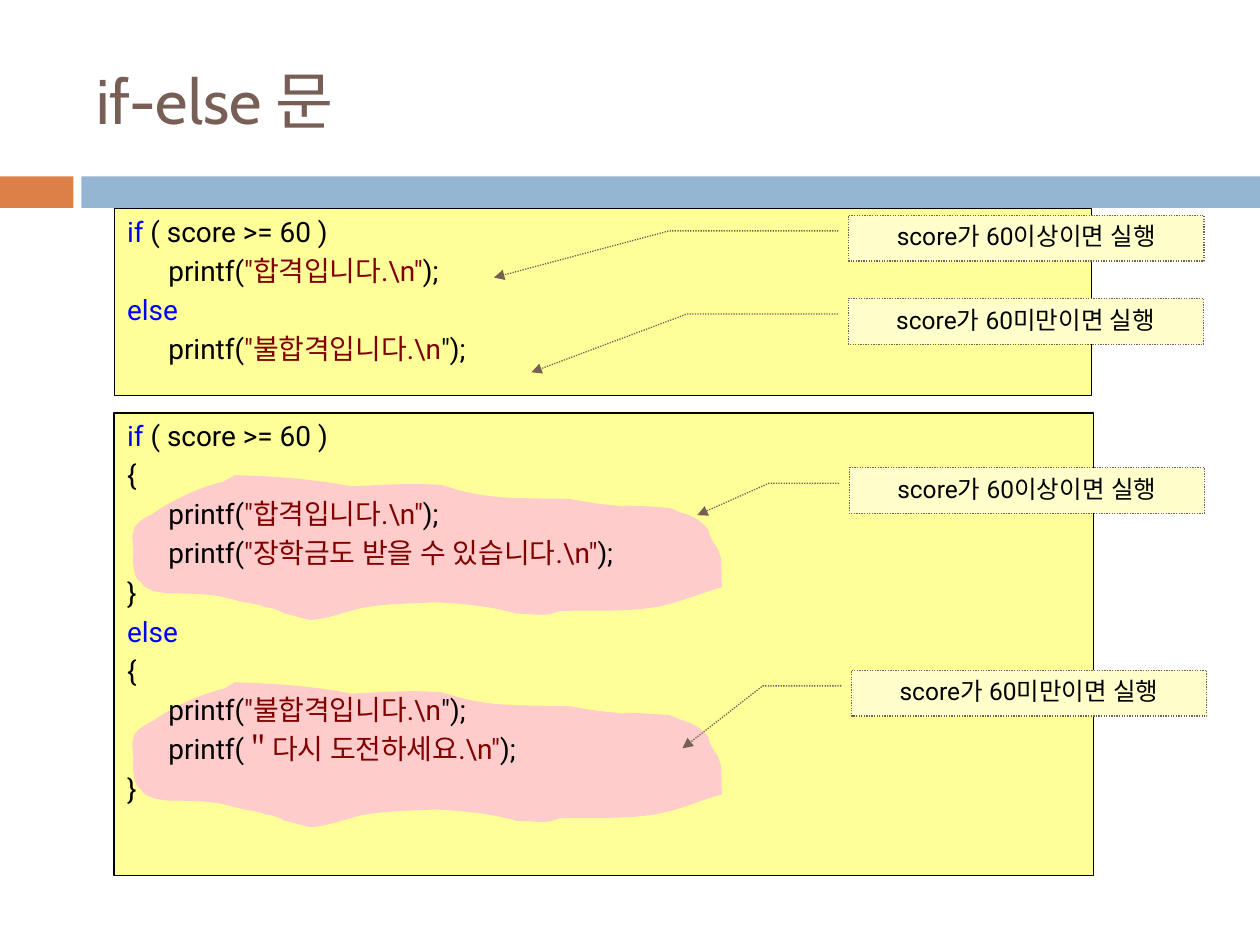
from dataclasses import dataclass

from lxml import etree
from pptx import Presentation
from pptx.dml.color import RGBColor
from pptx.enum.dml import MSO_LINE
from pptx.enum.shapes import MSO_SHAPE
from pptx.enum.text import MSO_ANCHOR, PP_ALIGN
from pptx.oxml.ns import qn
from pptx.util import Pt

ORANGE = RGBColor(0xDD, 0x80, 0x47)
BLUE = RGBColor(0x94, 0xB6, 0xD2)
BROWN = RGBColor(0x77, 0x5F, 0x55)
YELLOW = RGBColor(0xFF, 0xFF, 0x99)
CREAM = RGBColor(0xFF, 0xFF, 0xCC)
PINK = RGBColor(0xFF, 0xCC, 0xCC)
BLACK = RGBColor(0, 0, 0)
KEYWORD = RGBColor(0, 0, 0xFF)
LITERAL = RGBColor(0x80, 0, 0)

CODE_INDENT = 23.6
UNIT = 0.72  # points per blob unit

# Outline of the pink blob: start, then cubic curves (two controls and an end)
BLOB_START = (107, 418)
BLOB_CURVES = [
    (110, 414, 116, 410, 121, 408), (138, 396, 158, 387, 178, 382),
    (181, 380, 184, 379, 186, 377), (217, 378, 248, 380, 279, 386),
    (302, 385, 327, 383, 351, 385), (387, 397, 408, 395, 452, 396),
    (464, 398, 474, 400, 487, 401), (507, 404, 475, 399, 530, 403),
    (533, 403, 538, 406, 541, 407), (549, 409, 556, 413, 562, 420),
    (563, 424, 564, 427, 566, 430), (567, 432, 570, 436, 570, 436),
    (574, 449, 572, 439, 573, 466), (555, 471, 538, 479, 519, 482),
    (495, 486, 466, 484, 444, 485), (432, 490, 427, 487, 410, 487),
    (389, 481, 367, 479, 345, 478), (327, 479, 308, 479, 290, 482),
    (275, 485, 261, 491, 247, 492), (239, 491, 233, 488, 226, 487),
    (223, 485, 215, 482, 211, 482), (204, 479, 197, 479, 190, 477),
    (186, 476, 182, 475, 178, 474), (164, 471, 148, 471, 133, 471),
    (128, 470, 123, 470, 119, 468), (117, 467, 114, 465, 114, 465),
    (113, 464, 113, 463, 112, 462), (111, 461, 110, 461, 110, 461),
    (108, 459, 108, 457, 107, 455), (106, 450, 105, 445, 106, 439),
    (105, 422, 104, 429, 107, 418),
]


@dataclass
class Callout:
    left: float
    top: float
    condition: str
    bend: float
    tip_y: float
    tip_x: float


@dataclass
class CodeLine:
    pieces: list[tuple[str, RGBColor]]
    indent: float = 0


def printf(literal: str, ending: str = ");") -> CodeLine:
    return CodeLine([("printf(", BLACK), (literal, LITERAL), (ending, BLACK)], CODE_INDENT)


IF = CodeLine([("if", KEYWORD), (" ( score >= 60 )", BLACK)])
ELSE = CodeLine([("else", KEYWORD)])
OPEN = CodeLine([("{", BLACK)])
CLOSE = CodeLine([("}", BLACK)])
PASSED = printf(r'"합격입니다.\n"')
FAILED = printf(r'"불합격입니다.\n', '");')

SHORT_CODE = [IF, PASSED, ELSE, FAILED]
BLOCK_CODE = [
    IF, OPEN, PASSED, printf(r'"장학금도 받을 수 있습니다.\n"'), CLOSE,
    ELSE, OPEN, FAILED, printf(r'＂다시 도전하세요.\n"'), CLOSE,
]

UPPER_CALLOUTS = [
    Callout(485, 123, "이상", -0.506, 1.362, -0.999),
    Callout(484.7, 170.5, "미만", -0.454, 1.614, -0.892),
]
LOWER_CALLOUTS = [
    Callout(485.3, 267.2, "이상", -0.226, 1.038, -0.428),
    Callout(486.6, 383, "미만", -0.25, 1.705, -0.476),
]


def add_box(slide, left: float, top: float, width: float, height: float,
            fill: RGBColor, line: RGBColor | None = None, kind=MSO_SHAPE.RECTANGLE):
    box = slide.shapes.add_shape(kind, Pt(left), Pt(top), Pt(width), Pt(height))
    box.shadow.inherit = False
    box.fill.solid()
    box.fill.fore_color.rgb = fill
    if line is None:
        box.line.fill.background()
    else:
        box.line.color.rgb = line
        box.line.width = Pt(0.75)
    return box


def add_run(paragraph, text: str, size: float, color: RGBColor, font: str = "Roboto") -> None:
    run = paragraph.add_run()
    run.text = text
    run.font.size = Pt(size)
    run.font.name = font
    run.font.color.rgb = color
    if font == "Roboto":
        etree.SubElement(run.font._element, qn("a:ea"), typeface=font)


def write_code(frame, lines: list[CodeLine]) -> None:
    frame.word_wrap = True
    frame.vertical_anchor = MSO_ANCHOR.TOP
    for index, line in enumerate(lines):
        paragraph = frame.add_paragraph() if index else frame.paragraphs[0]
        paragraph.alignment = PP_ALIGN.LEFT
        paragraph.space_before = Pt(3.2)
        if line.indent:
            paragraph._p.get_or_add_pPr().set("marL", str(Pt(line.indent)))
        for text, color in line.pieces:
            add_run(paragraph, text, 16, color)


def add_callout(slide, callout: Callout) -> None:
    box = add_box(slide, callout.left, callout.top, 203, 26.2, CREAM, BROWN,
                  MSO_SHAPE.LINE_CALLOUT_2)
    pointer = (0.343, -0.029, 0.343, callout.bend, callout.tip_y, callout.tip_x)
    for index, value in enumerate(pointer):
        box.adjustments[index] = value
    box.line.dash_style = MSO_LINE.ROUND_DOT
    etree.SubElement(box.line._get_or_add_ln(), qn("a:tailEnd"), type="triangle")
    box.text_frame.word_wrap = True
    box.text_frame.vertical_anchor = MSO_ANCHOR.TOP
    paragraph = box.text_frame.paragraphs[0]
    paragraph.alignment = PP_ALIGN.CENTER
    add_run(paragraph, f"score가 60{callout.condition}이면 실행", 14, BLACK)


def add_blob(slide, drop: float) -> None:
    """Draw the blob, lowered by drop points."""
    def place(x: float, y: float) -> tuple[int, int]:
        return Pt(x * UNIT), Pt(y * UNIT + drop)

    builder = slide.shapes.build_freeform(*place(*BLOB_START))
    builder.add_line_segments([place(*curve[4:]) for curve in BLOB_CURVES], close=True)
    blob = builder.convert_to_shape()

    # Bend each straight segment into its cubic curve
    for segment, curve in zip(list(blob._element.iter(qn("a:lnTo"))), BLOB_CURVES):
        bezier = etree.Element(qn("a:cubicBezTo"))
        for x, y in zip(curve[::2], curve[1::2]):
            px, py = place(x, y)
            etree.SubElement(bezier, qn("a:pt"), x=str(px - blob.left), y=str(py - blob.top))
        segment.getparent().replace(segment, bezier)

    blob.shadow.inherit = False
    blob.fill.solid()
    blob.fill.fore_color.rgb = PINK
    blob.line.fill.background()


def main() -> None:
    deck = Presentation()
    deck.slide_width, deck.slide_height = Pt(720), Pt(540)
    slide = deck.slides.add_slide(deck.slide_layouts[5])

    # Header bars and title
    add_box(slide, 0, 100.8, 42, 18, ORANGE)
    add_box(slide, 46.5, 100.8, 673.5, 18, BLUE)
    title = slide.shapes.title
    title.left, title.top, title.width, title.height = Pt(48), Pt(18), Pt(642), Pt(78)
    title.text_frame.vertical_anchor = MSO_ANCHOR.MIDDLE
    heading = title.text_frame.paragraphs[0]
    heading.alignment = PP_ALIGN.LEFT
    add_run(heading, "if-else 문", 36, BROWN, "Cabin")

    # Code panels, with the callouts of the upper one
    short_panel = add_box(slide, 65.5, 119, 558.4, 107, YELLOW, BLACK)
    write_code(short_panel.text_frame, SHORT_CODE)
    add_box(slide, 65.1, 236, 559.6, 264.3, YELLOW, BLACK)
    for callout in UPPER_CALLOUTS:
        add_callout(slide, callout)

    # Highlighted blocks behind the lower code
    for drop in (0, 118.4):
        add_blob(slide, drop)
    block_text = slide.shapes.add_textbox(Pt(65.6), Pt(235.6), Pt(559.5), Pt(264.3))
    write_code(block_text.text_frame, BLOCK_CODE)
    for callout in LOWER_CALLOUTS:
        add_callout(slide, callout)

    deck.save("out.pptx")


if __name__ == "__main__":
    main()
